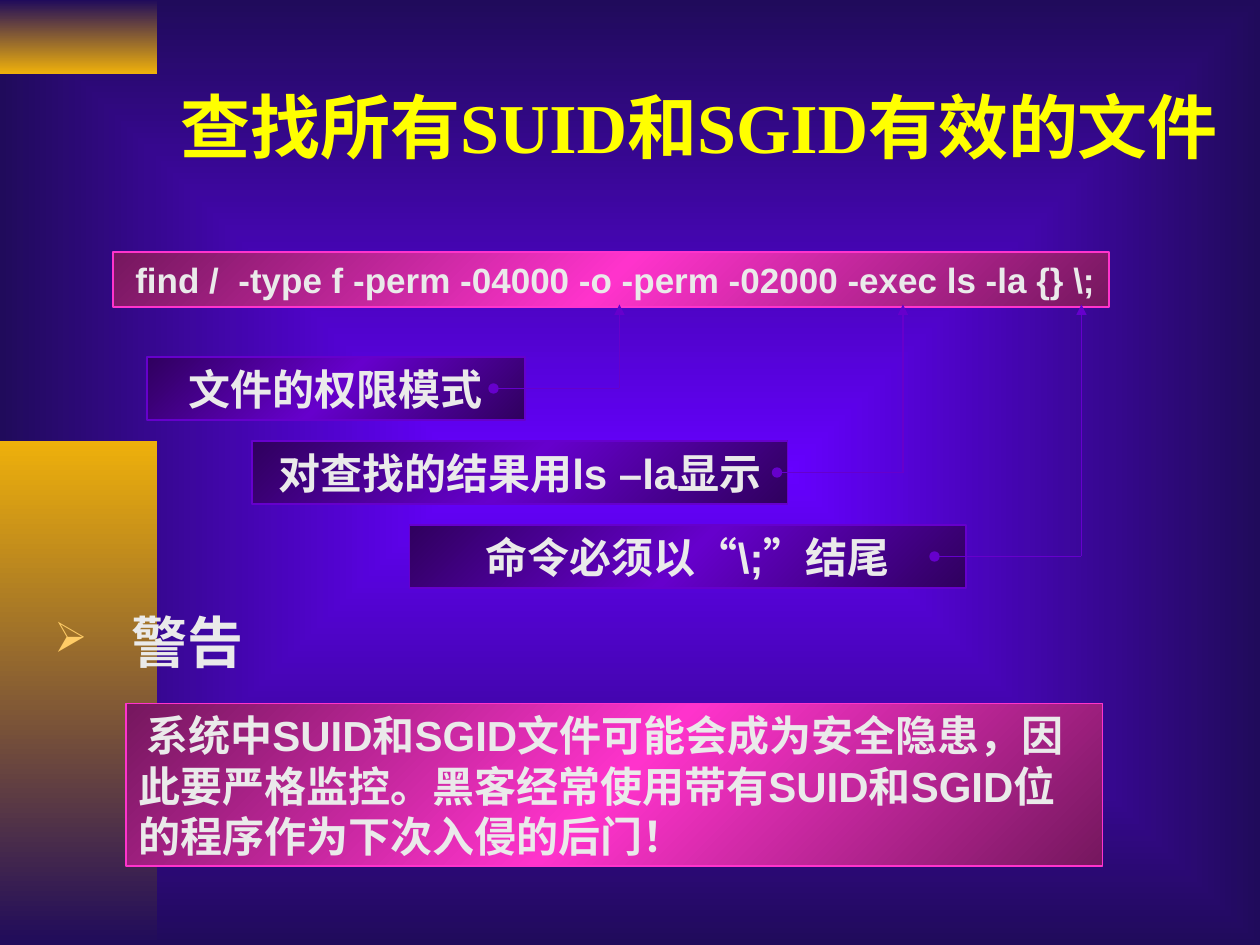
from lxml.etree import SubElement
from pptx import Presentation
from pptx.dml.color import RGBColor
from pptx.enum.shapes import MSO_CONNECTOR, MSO_SHAPE
from pptx.enum.text import MSO_ANCHOR, MSO_AUTO_SIZE, PP_ALIGN
from pptx.oxml.ns import qn
from pptx.util import Pt

PX = 9525  # 96 px to the inch
COLORS = {
    "navy": "200B5B", "blue": "6600FF", "gold": "EEB00B", "yellow": "FFFF00",
    "plum": "75175E", "pink": "FF33CC", "dark": "2F005E", "violet": "6600CC",
    "text": "EAEAEA", "bullet": "FFCC66",
}


def rgb(name):
    return RGBColor.from_string(COLORS[name])


def add_xml(parent, tag, **attributes):
    return SubElement(parent, qn(tag), {k: str(v) for k, v in attributes.items()})


class SlideBuilder:
    def __init__(self, slide):
        self.slide = slide

    def paint_gradient(self, fill, owner, names, angle=None):
        """Spread the named colours evenly; without an angle, from the centre outwards."""
        fill.gradient()
        gradient = next(owner.iter(qn("a:gradFill")))
        for child in list(gradient):
            gradient.remove(child)
        stops = add_xml(gradient, "a:gsLst")
        for i, name in enumerate(names):
            stop = add_xml(stops, "a:gs", pos=i * 100000 // (len(names) - 1))
            add_xml(stop, "a:srgbClr", val=COLORS[name])
        if angle is None:
            center = add_xml(gradient, "a:path", path="rect")
            add_xml(center, "a:fillToRect", l=50000, t=50000, r=50000, b=50000)
        else:
            add_xml(gradient, "a:lin", ang=angle * 60000, scaled=0)

    def background(self, names):
        self.paint_gradient(self.slide.background.fill, self.slide.element, names)

    def panel(self, left, top, width, height, names, angle, border=None, border_pt=1):
        box = self.slide.shapes.add_shape(
            MSO_SHAPE.RECTANGLE, left * PX, top * PX, width * PX, height * PX)
        box.shadow.inherit = False
        self.paint_gradient(box.fill, box.element, names, angle)
        if border:
            box.line.color.rgb = rgb(border)
            box.line.width = Pt(border_pt)
        else:
            box.line.fill.background()
        return box

    def text_box(self, left, top, width, height):
        return self.slide.shapes.add_textbox(left * PX, top * PX, width * PX, height * PX)

    def set_text(self, box, text, size, font="Arial", color="text", align=PP_ALIGN.LEFT,
                 anchor=MSO_ANCHOR.TOP, wrap=True, grow=True):
        frame = box.text_frame
        frame.word_wrap = wrap
        frame.vertical_anchor = anchor
        frame.auto_size = MSO_AUTO_SIZE.SHAPE_TO_FIT_TEXT if grow else MSO_AUTO_SIZE.NONE
        paragraph = frame.paragraphs[0]
        paragraph.alignment = align
        paragraph.font.name = font
        paragraph.font.size = Pt(size)
        paragraph.font.bold = True
        paragraph.font.color.rgb = rgb(color)
        paragraph.add_run().text = text
        return paragraph

    def bullet(self, paragraph, mark, indent):
        properties = paragraph._p.get_or_add_pPr()
        properties.set("marL", str(indent * PX))
        properties.set("indent", str(-indent * PX))
        items = [add_xml(properties, "a:buClr"),
                 add_xml(properties, "a:buSzPct", val=75000),
                 add_xml(properties, "a:buChar", char=mark)]
        add_xml(items[0], "a:srgbClr", val=COLORS["bullet"])
        defaults = properties.find(qn("a:defRPr"))
        for item in items:
            defaults.addprevious(item)

    def line(self, x1, y1, x2, y2, end_tag, end_type):
        connector = self.slide.shapes.add_connector(
            MSO_CONNECTOR.STRAIGHT, x1 * PX, y1 * PX, x2 * PX, y2 * PX)
        connector.line.color.rgb = rgb("violet")
        connector.line.width = Pt(1)
        add_xml(connector.line._get_or_add_ln(), end_tag, type=end_type)
        add_xml(connector.element.spPr, "a:effectLst")

    def callout(self, text, left, top, width, dot_x, target_x, target_y):
        """A label with a dotted line that turns up to the command."""
        height = 48
        label = self.panel(left, top, width, height, ["dark", "violet", "dark"], 225,
                           "violet", 0.75)
        self.set_text(label, text, 24, align=PP_ALIGN.CENTER).space_before = Pt(15)
        middle = top + height // 2
        self.line(dot_x, middle, target_x, middle, "a:headEnd", "oval")
        self.line(target_x, middle, target_x, target_y, "a:tailEnd", "triangle")


def main():
    deck = Presentation()
    deck.slide_width, deck.slide_height = 960 * PX, 720 * PX
    page = SlideBuilder(deck.slides.add_slide(deck.slide_layouts[6]))
    pink_blend = ["plum", "pink", "plum"]

    page.background(["blue", "navy"])
    page.panel(0, 0, 120, 56, ["navy", "gold"], 90)
    page.panel(0, 336, 120, 384, ["gold", "navy"], 90)

    page.set_text(page.text_box(128, 32, 816, 127), "查找所有SUID和SGID有效的文件", 40,
                  "Times New Roman", "yellow", anchor=MSO_ANCHOR.MIDDLE, grow=False)

    command = page.panel(86, 192, 759, 42, pink_blend, 225, "pink")
    page.set_text(command, " find /  -type f -perm -04000 -o -perm -02000 -exec ls -la {} \\;",
                  20, align=PP_ALIGN.CENTER, wrap=False)

    warning = page.panel(96, 536, 744, 124, pink_blend, 225, "pink")
    warning_text = page.set_text(warning, " ", 24)
    warning_text.runs[0].font.size = Pt(20)
    warning_text.add_run().text = (
        "系统中SUID和SGID文件可能会成为安全隐患，因此要严格监控。"
        "黑客经常使用带有SUID和SGID位的程序作为下次入侵的后门！")

    heading = page.set_text(page.text_box(32, 464, 880, 56), "警告", 32, "Lato")
    heading.line_spacing = 0.9
    heading.space_before = Pt(10)
    page.bullet(heading, "➢", 59)

    callouts = [
        ("文件的权限模式", 112, 288, 376, 472),
        ("对查找的结果用ls –la显示", 192, 408, 592, 688),
        ("命令必须以“\\;”结尾", 312, 424, 712, 824),
    ]
    for i, (text, left, width, dot_x, target_x) in enumerate(callouts):
        page.callout(text, left, 272 + i * 64, width, dot_x, target_x, 232)

    deck.save("out.pptx")


if __name__ == "__main__":
    main()
